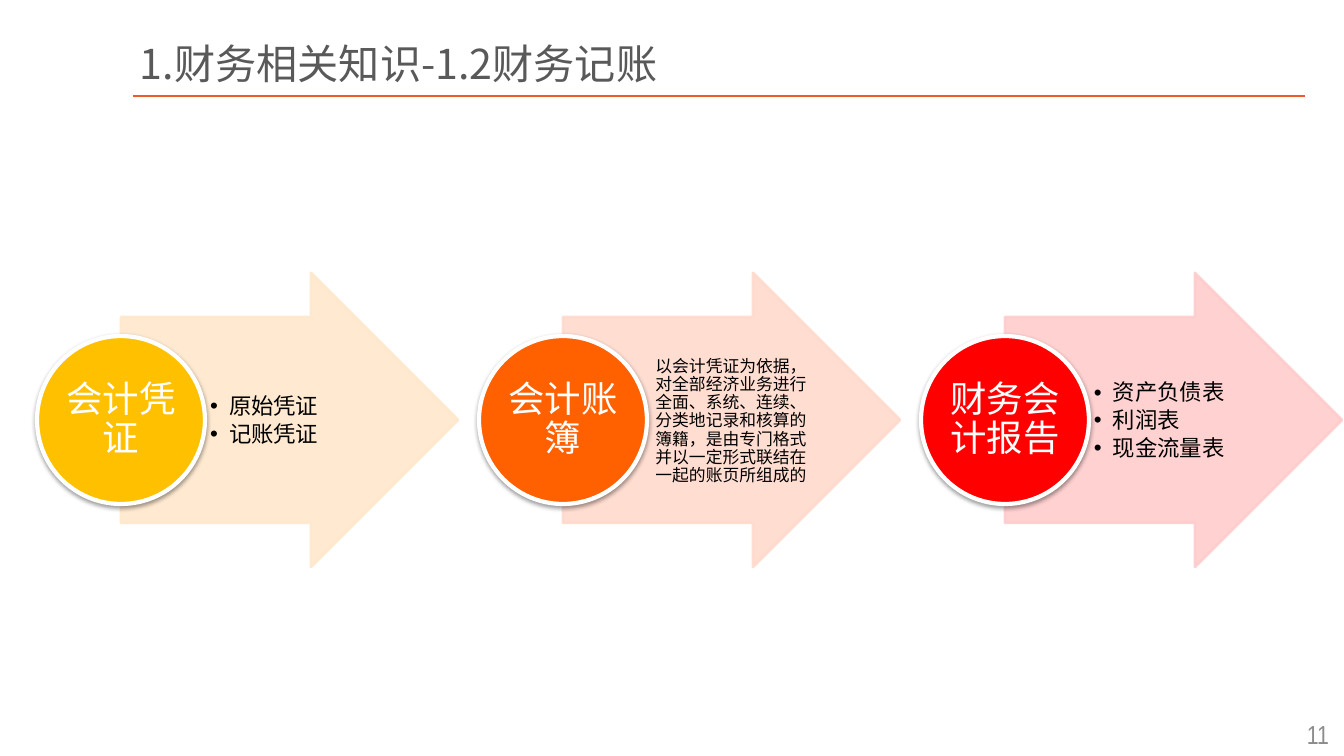
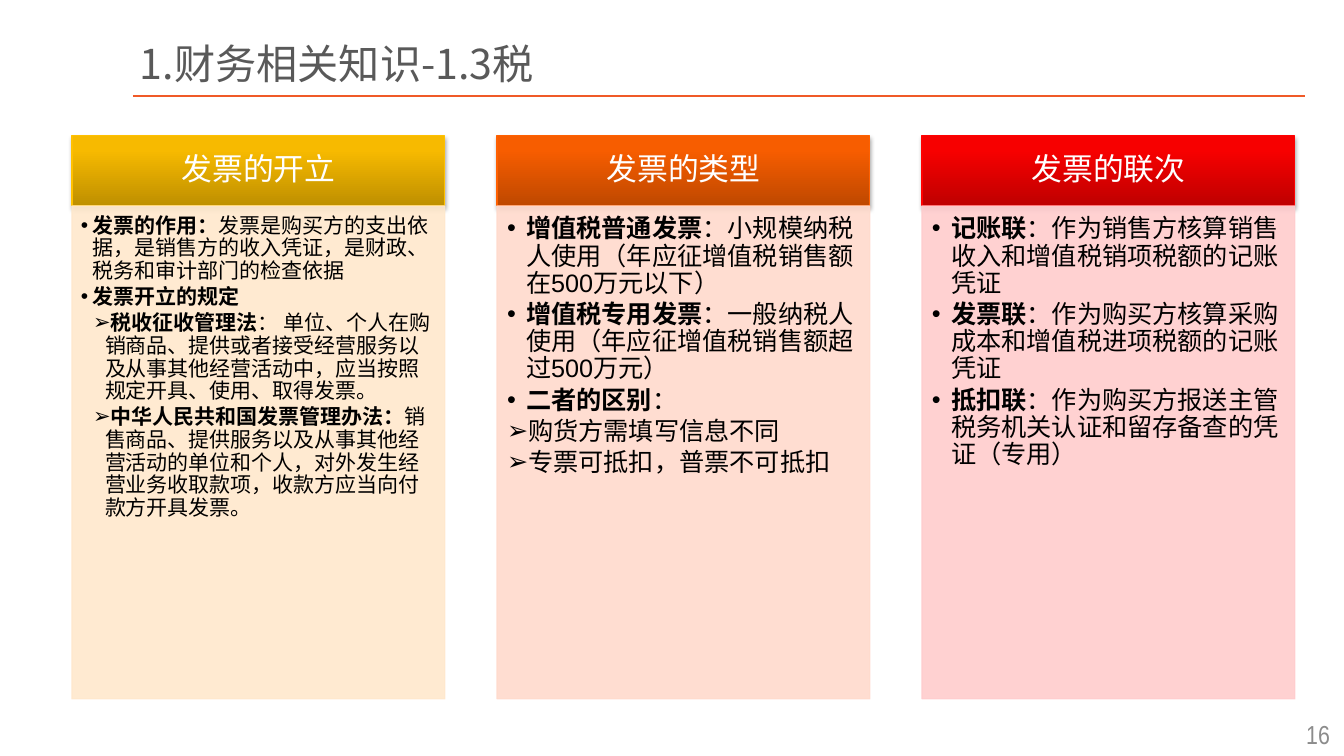
from lxml import etree
from pptx import Presentation
from pptx import util as u
from pptx.dml.color import RGBColor
from pptx.enum import shapes, text
from pptx.oxml import ns

COLORS = {
    "white": "FFFFFF", "body": "000000", "title": "595959",
    "number": "8C8C8C", "rule": "F05A28",
}
# Each theme: strong fill, pale fill, dark and bright gradient ends
THEMES = [
    {"strong": "FFC000", "pale": "FFE8CC", "dark": "BE8F00", "bright": "F7BA00"},
    {"strong": "FF6000", "pale": "FFDACC", "dark": "BE4800", "bright": "F75D00"},
    {"strong": "FF0000", "pale": "FFCCCD", "dark": "BE0000", "bright": "F70000"},
]
CJK_FONT = "Noto Sans CJK SC"
MIDDLE, TOP = text.MSO_ANCHOR.MIDDLE, text.MSO_ANCHOR.TOP
LEFT, CENTER = text.PP_ALIGN.LEFT, text.PP_ALIGN.CENTER


def px(n):
    return u.Emu(round(n * 914400 / 100.8))


rgb = RGBColor.from_string


def add_box(slide, kind, frame, fill, line, width, alpha=None, shadow=None):
    """Add a filled shape; shadow is (distance in EMU, alpha in percent)."""
    box = slide.shapes.add_shape(kind, *map(px, frame))
    box.shadow.inherit = False
    if isinstance(fill, tuple):
        box.fill.gradient()
        box.fill.gradient_angle = 90
        for stop, color, position in zip(box.fill.gradient_stops, fill, (0, 0.8)):
            stop.color.rgb = rgb(color)
            stop.position = position
    else:
        box.fill.solid()
        box.fill.fore_color.rgb = rgb(fill)
    box.line.color.rgb = rgb(line)
    box.line.width = u.Pt(width)
    props = box.element.spPr
    if alpha:
        for color in list(props.iter(ns.qn("a:srgbClr"))):
            etree.SubElement(color, ns.qn("a:alpha"), val=str(alpha * 1000))
    if shadow:
        outer = etree.SubElement(
            props.find(ns.qn("a:effectLst")), ns.qn("a:outerShdw"), blurRad="40000",
            dist=str(shadow[0]), dir="5400000", rotWithShape="0")
        color = etree.SubElement(outer, ns.qn("a:srgbClr"), val=COLORS["body"])
        etree.SubElement(color, ns.qn("a:alpha"), val=str(shadow[1] * 1000))
    return box


def write(box, rows, size, color, insets, align=LEFT, anchor=MIDDLE,
          font="Arial", spacing=0.9, after=0.16, hang=19):
    """Fill a box with rows of (level, bullet, bold text, plain text)."""
    frame = box.text_frame
    frame.word_wrap = True
    frame.vertical_anchor = anchor
    (frame.margin_left, frame.margin_top,
     frame.margin_right, frame.margin_bottom) = map(px, insets)
    for i, (level, bullet, bold, plain) in enumerate(rows):
        para = frame.add_paragraph() if i else frame.paragraphs[0]
        para.alignment = align
        para.line_spacing = spacing
        para.space_after = u.Pt(size * after)
        if bullet:
            para.level = level
            props = para._p.get_or_add_pPr()
            props.set("marL", str(px(hang * level)))
            props.set("indent", str(-px(hang)))
            etree.SubElement(props, ns.qn("a:buFont"), typeface="Arial")
            etree.SubElement(props, ns.qn("a:buChar"), char=bullet)
        for words, is_bold in ((bold, True), (plain, False)):
            if not words:
                continue
            run = para.add_run()
            run.text = words
            run.font.size = u.Pt(size)
            run.font.bold = is_bold
            run.font.name = font
            run.font.color.rgb = rgb(color)
            props = run._r.get_or_add_rPr()
            props.set("lang", "zh-CN")
            etree.SubElement(props, ns.qn("a:ea"), typeface=CJK_FONT)


prs = Presentation()
prs.slide_width, prs.slide_height = px(1344), px(756)

# Shared title, rule and page number
pages = []
for heading, number in (("1.财务相关知识-1.2财务记账", "11"), ("1.财务相关知识-1.3税", "16")):
    page = prs.slides.add_slide(prs.slide_layouts[6])
    rule = page.shapes.add_connector(
        shapes.MSO_CONNECTOR.STRAIGHT, px(133), px(96), px(1305), px(96))
    rule.line.color.rgb = rgb(COLORS["rule"])
    rule.line.width = u.Pt(1.5)
    etree.SubElement(rule.element.spPr, ns.qn("a:effectLst"))
    title = page.shapes.add_textbox(*map(px, (133, 39, 867, 48)))
    write(title, [(0, "", "", heading)], 29.4, COLORS["title"], (7, 4, 7, 4),
          font=CJK_FONT, spacing=1.0, after=0)
    page_number = page.shapes.add_textbox(*map(px, (1291, 712, 54, 44)))
    write(page_number, [(0, "", "", number)], 18.6, COLORS["number"], (11, 6, 11, 6),
          align=CENTER, font="Arial Narrow", spacing=1.0, after=0)
    pages.append(page)
bookkeeping, invoices = pages

# Slide 1: three bookkeeping stages
ledger = ("以会计凭证为依据，对全部经济业务进行全面、系统、连续、分类地记录和核算的"
          "簿籍，是由专门格式并以一定形式联结在一起的账页所组成的")
stages = [
    ("会计凭证", "•", 16, ["原始凭证", "记账凭证"]),
    ("会计账簿", "", 12, [ledger]),
    ("财务会计报告", "•", 16, ["资产负债表", "利润表", "现金流量表"]),
]
for i, (theme, (stage, bullet, size, details)) in enumerate(zip(THEMES, stages)):
    x = 37 + 442 * i
    arrow = add_box(bookkeeping, shapes.MSO_SHAPE.RIGHT_ARROW, (x + 84, 273, 337, 294),
                    theme["pale"], theme["pale"], 2, alpha=90)
    arrow.adjustments[0], arrow.adjustments[1] = 0.7, 0.5
    detail = bookkeeping.shapes.add_textbox(*map(px, (x + 169, 318, 164, 207)))
    write(detail, [(1, bullet, "", item) for item in details], size, COLORS["body"],
          (4, 1, 2, 1), align=LEFT if bullet else CENTER, after=0.16 if bullet else 0.35)
    circle = add_box(bookkeeping, shapes.MSO_SHAPE.OVAL, (x, 336, 168, 168),
                     theme["strong"], COLORS["white"], 3, shadow=(20000, 38))
    write(circle, [(0, "", "", stage)], 26, COLORS["white"], (2, 2, 2, 2),
          align=CENTER, after=0.35)

# Slide 2: three invoice columns
columns = [
    ("发票的开立", 15, 12, (9, 9, 12, 13), [
        (1, "•", "发票的作用：",
         "发票是购买方的支出依据，是销售方的收入凭证，是财政、税务和审计部门的检查依据"),
        (1, "•", "发票开立的规定", ""),
        (2, "➢", "税收征收管理法",
         "： 单位、个人在购销商品、提供或者接受经营服务以及从事其他经营活动中，"
         "应当按照规定开具、使用、取得发票。"),
        (2, "➢", "中华人民共和国发票管理办法：",
         "销售商品、提供服务以及从事其他经营活动的单位和个人，"
         "对外发生经营业务收取款项，收款方应当向付款方开具发票。"),
    ]),
    ("发票的类型", 18, 19, (10, 10, 14, 16), [
        (1, "•", "增值税普通发票", "：小规模纳税人使用（年应征增值税销售额在500万元以下）"),
        (1, "•", "增值税专用发票", "：一般纳税人使用（年应征增值税销售额超过500万元）"),
        (1, "•", "二者的区别", "："),
        (1, "➢", "", "购货方需填写信息不同"),
        (1, "➢", "", "专票可抵扣，普票不可抵扣"),
    ]),
    ("发票的联次", 18, 19, (10, 10, 14, 16), [
        (1, "•", "记账联", "：作为销售方核算销售收入和增值税销项税额的记账凭证"),
        (1, "•", "发票联", "：作为购买方核算采购成本和增值税进项税额的记账凭证"),
        (1, "•", "抵扣联", "：作为购买方报送主管税务机关认证和留存备查的凭证（专用）"),
    ]),
]
for i, (theme, (topic, size, hang, insets, rows)) in enumerate(zip(THEMES, columns)):
    x = 72 + 425 * i
    header = add_box(invoices, shapes.MSO_SHAPE.RECTANGLE, (x, 136, 373, 70),
                     (theme["dark"], theme["bright"]), theme["strong"], 0.75,
                     shadow=(23000, 35))
    write(header, [(0, "", "", topic)], 22, COLORS["white"], (17, 10, 17, 10),
          align=CENTER, after=0.35)
    body = add_box(invoices, shapes.MSO_SHAPE.RECTANGLE, (x, 206, 373, 493),
                   theme["pale"], theme["pale"], 0.75, alpha=90)
    write(body, rows, size, COLORS["body"], insets, anchor=TOP, hang=hang)

prs.save("out.pptx")
